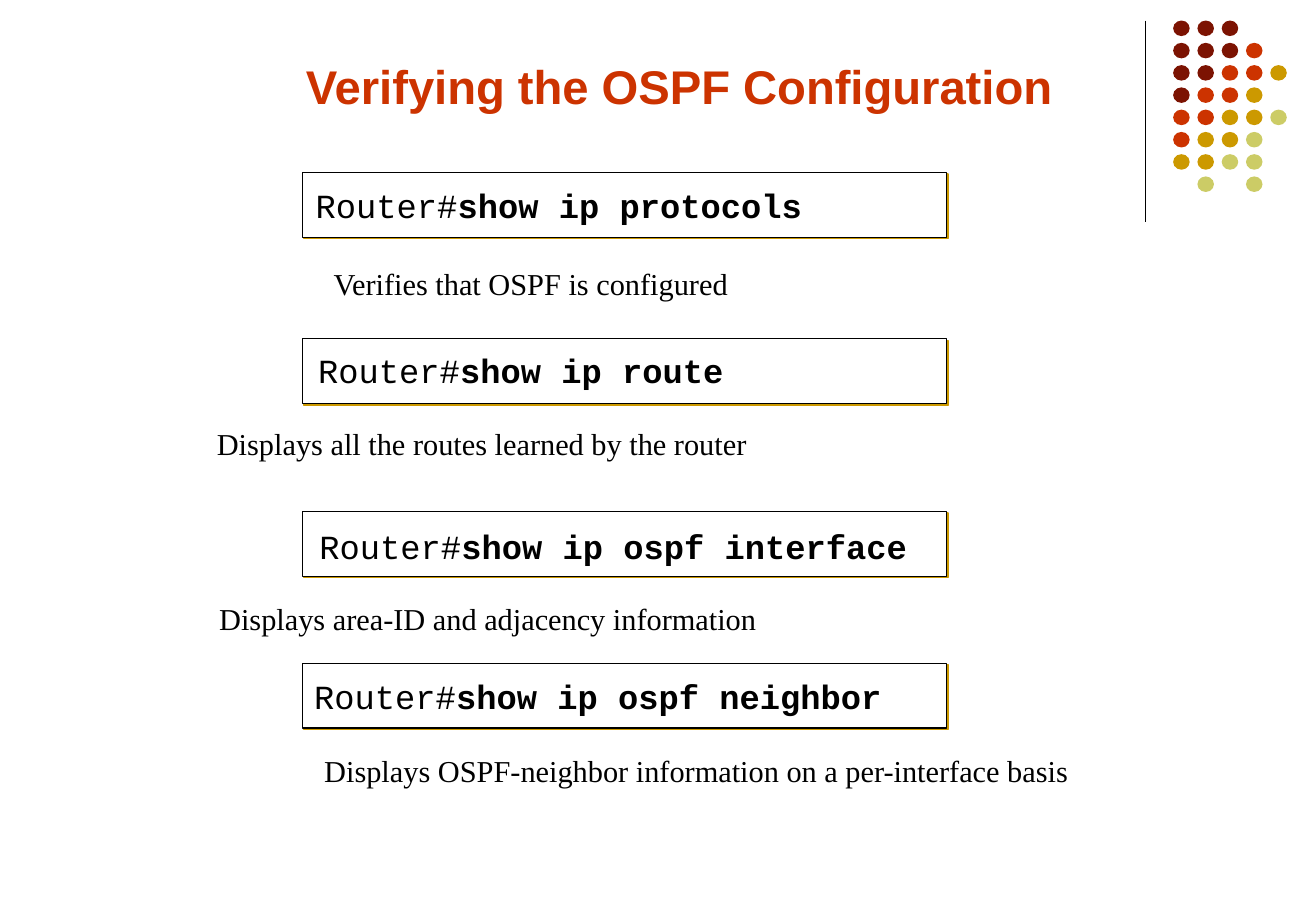
from dataclasses import dataclass
from lxml.etree import SubElement
from pptx import Presentation
from pptx.dml.color import RGBColor as RGB
from pptx.enum.shapes import MSO_CONNECTOR as CONN, MSO_SHAPE as SHAPE
from pptx.enum.text import MSO_ANCHOR as ANCHOR, PP_ALIGN as ALIGN
from pptx.oxml.ns import qn
from pptx.util import Pt


@dataclass(frozen=True)
class Theme:
    maroon: str = "7C1302"
    red: str = "CC3300"
    gold: str = "CC9900"
    olive: str = "CCCC66"
    ink: str = "000000"
    paper: str = "FFFFFF"
    heading: str = "Arial"
    code: str = "Courier New"
    body: str = "Times New Roman"
    title_size: float = 28
    code_size: float = 20
    body_size: float = 18
    rule: float = 0.74


T = Theme()
DOT_COLORS = {"m": T.maroon, "r": T.red, "g": T.gold, "o": T.olive}
DOT_ROWS = ["mmm", "mmmr", "mmrrg", "mrrg", "rrggo", "rggo", "ggoo", " o o"]
PROMPT = "Router#"
COMMANDS = [
    ("show ip protocols", (179.3, 102.2), (185, 108),
     "Verifies that OSPF is configured", (179.9, 154.6, 380)),
    ("show ip route", (179.3, 200.9), (186.5, 206),
     "Displays all the routes learned by the router", (110.6, 249.1, 403)),
    ("show ip ospf interface", (179.3, 303.1), (187.2, 310.1),
     "Displays area-ID and adjacency information", (112, 353, 404)),
    ("show ip ospf neighbor", (179.3, 393.1), (184.1, 398.9),
     "Displays OSPF-neighbor information on a per-interface basis",
     (174.3, 443, 474)),
]


def style(r, font, size, color=T.ink, bold=False):
    r.font.name, r.font.size, r.font.bold = font, Pt(size), bold
    r.font.color.rgb = RGB.from_string(color)


def add_filled(s, kind, box, color):
    sp = s.shapes.add_shape(kind, *map(Pt, box))
    sp.shadow.inherit = False
    sp.fill.solid()
    sp.fill.fore_color.rgb = RGB.from_string(color)
    sp.line.fill.background()
    return sp


def add_text(s, box, margins):
    tf = s.shapes.add_textbox(*map(Pt, box)).text_frame
    tf.word_wrap = True
    tf.margin_left, tf.margin_top, tf.margin_right, tf.margin_bottom = map(Pt, margins)
    return tf


def add_shadow(sp, color):
    effects = sp._element.spPr.find(qn("a:effectLst"))
    shadow = SubElement(effects, qn("a:outerShdw"), blurRad="0",
                        dist=str(int(Pt(1.4))), dir="2700000", algn="ctr", rotWithShape="0")
    SubElement(shadow, qn("a:srgbClr"), val=color)


def add_corner(s, left, top, height):
    line = s.shapes.add_connector(CONN.STRAIGHT, Pt(left), Pt(top), Pt(left), Pt(top + height))
    line.line.width = Pt(T.rule)
    line.line.color.rgb = RGB.from_string(T.ink)
    SubElement(line._element.spPr, qn("a:effectLst"))
    for row, keys in enumerate(DOT_ROWS):
        for col, key in enumerate(keys):
            if key in DOT_COLORS:
                box = (left + 16.4 + 14.4 * col, top + 13.2 * row, 9.8, 9.2)
                add_filled(s, SHAPE.OVAL, box, DOT_COLORS[key])


def add_title(s, left, top, width, height):
    sp = s.shapes.title
    sp.left, sp.top, sp.width, sp.height = map(Pt, (left, top, width, height))
    tf = sp.text_frame
    tf.text = "Verifying the OSPF Configuration"
    tf.vertical_anchor = ANCHOR.MIDDLE
    p = tf.paragraphs[0]
    p.alignment = ALIGN.LEFT
    style(p.runs[0], T.heading, T.title_size, T.red, bold=True)


def add_command(s, left, top, width, height, text_at, command):
    frame = add_filled(s, SHAPE.RECTANGLE, (left, top, width, height), T.paper)
    frame.line.color.rgb = RGB.from_string(T.ink)
    frame.line.width = Pt(T.rule)
    add_shadow(frame, T.gold)
    x, y = text_at
    tf = add_text(s, (x, y, left + width - x, height - y + top), (2.2, 2.9, 0, 0))
    p = tf.paragraphs[0]
    p.line_spacing = Pt(22.5)
    for text, bold in ((PROMPT, False), (command, True)):
        r = p.add_run()
        r.text = text
        style(r, T.code, T.code_size, bold=bold)


def add_caption(s, left, top, width, text):
    tf = add_text(s, (left, top, width, 29), (18, 4.3, 0, 4.3))
    p = tf.paragraphs[0]
    p.text = text
    p.line_spacing = 0.95
    style(p.runs[0], T.body, T.body_size)


def add_verify_slide(prs):
    s = prs.slides.add_slide(prs.slide_layouts[5])
    add_corner(s, 679.4, 12.2, 119.6)
    add_title(s, 174.2, 26.6, 462, 48)
    for command, (left, top), text_at, caption, caption_box in COMMANDS:
        add_command(s, left, top, 382, 38.5, text_at, command)
        add_caption(s, *caption_box, caption)


prs = Presentation()
prs.slide_width, prs.slide_height = Pt(780.48), Pt(540)
prs.element.find(qn("p:sldSz")).attrib.pop("type", None)
add_verify_slide(prs)
prs.save("out.pptx")
